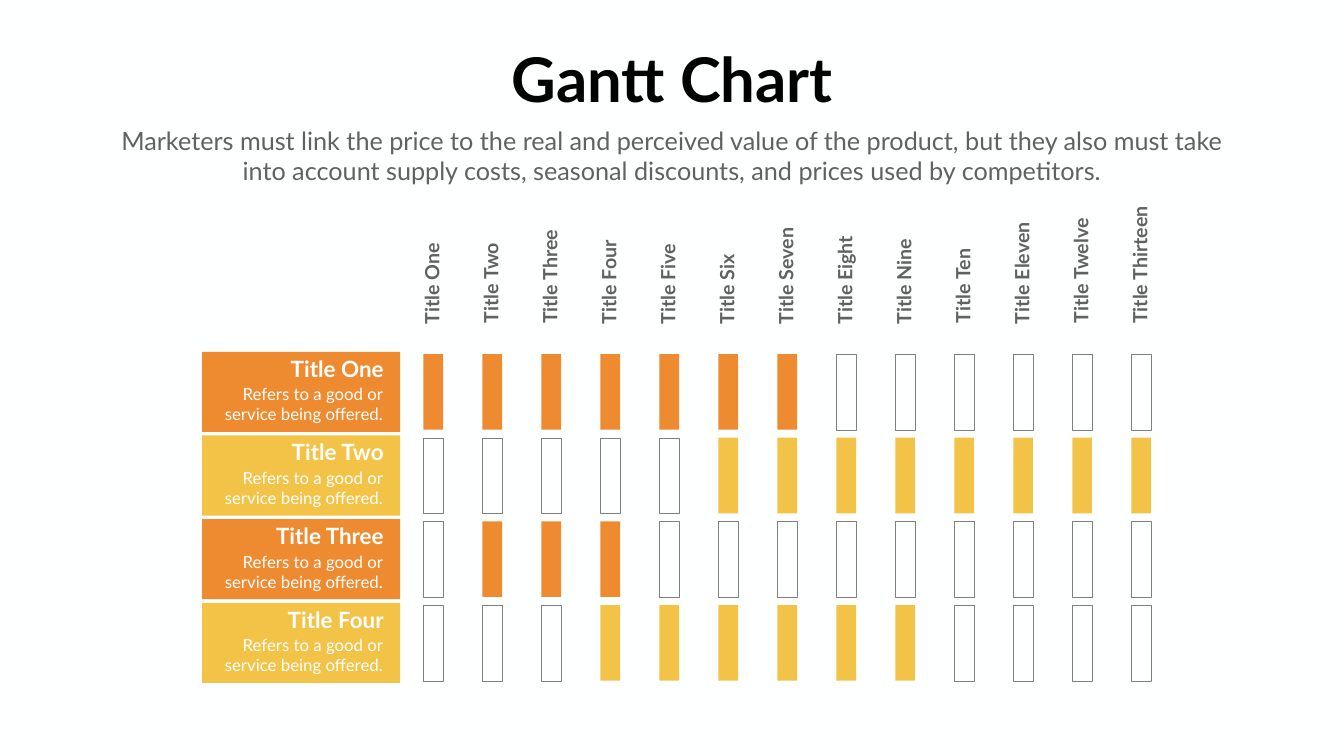
from pptx import Presentation
from pptx.dml.color import RGBColor
from pptx.enum import shapes, text
from pptx.util import Inches, Pt

BACKGROUND = RGBColor(0xFE, 0xFF, 0xFF)
ORANGE = RGBColor(0xEE, 0x8B, 0x31)
YELLOW = RGBColor(0xF2, 0xC3, 0x47)
GREY = RGBColor(0x61, 0x61, 0x61)
OUTLINE = RGBColor(0x80, 0x80, 0x80)
BLACK = RGBColor(0, 0, 0)
WHITE = RGBColor(0xFF, 0xFF, 0xFF)
FONT = "Lato"

TITLE = "Gantt Chart"
SUBTITLE = (
    "Marketers must link the price to the real and perceived value of the product, "
    "but they also must take into account supply costs, seasonal discounts, "
    "and prices used by competitors."
)
DESCRIPTION = "Refers to a good or service being offered."

# name, heading width, colour, first period, last period
TASKS = [
    ("Title One", 2.07, ORANGE, 1, 7),
    ("Title Two", 2.1, YELLOW, 6, 13),
    ("Title Three", 2.38, ORANGE, 2, 4),
    ("Title Four", 2.14, YELLOW, 4, 9),
]
PERIODS = [
    ("Title One", 1.83), ("Title Two", 1.86), ("Title Three", 2.11),
    ("Title Four", 1.9), ("Title Five", 1.83), ("Title Six", 1.61),
    ("Title Seven", 2.15), ("Title Eight", 1.98), ("Title Nine", 1.92),
    ("Title Ten", 1.75), ("Title Eleven", 2.26), ("Title Twelve", 2.36),
    ("Title Thirteen", 2.58),
]

TASK_LEFT, TASK_TOP, TASK_W, TASK_H = 4.01, 6.98, 3.93, 1.59
ROW_GAP = 0.07
HEADING_RIGHT = 7.71
CELL_LEFT, CELL_W, CELL_H, CELL_PITCH = 8.4, 0.39, 1.5, 1.17
LABEL_BOTTOM, LABEL_H = 6.55, 0.57


def place(sp, left, top, width, height):
    sp.left, sp.top = Inches(left), Inches(top)
    sp.width, sp.height = Inches(width), Inches(height)


def write(sp, words, size, color, align, bold=False, wrap=True):
    tf = sp.text_frame
    tf.word_wrap = wrap
    tf.auto_size = text.MSO_AUTO_SIZE.SHAPE_TO_FIT_TEXT
    tf.vertical_anchor = text.MSO_ANCHOR.TOP
    p = tf.paragraphs[0]
    p.alignment = align
    p.space_before = Pt(0)
    r = p.add_run()
    r.text = words
    r.font.name = FONT
    r.font.size = Pt(size)
    r.font.bold = bold
    r.font.color.rgb = color


def add_text(s, box, *args, **kwargs):
    sp = s.shapes.add_textbox(*map(Inches, box))
    write(sp, *args, **kwargs)
    return sp


def add_bar(s, box, color=None):
    sp = s.shapes.add_shape(shapes.MSO_SHAPE.RECTANGLE, *map(Inches, box))
    sp.shadow.inherit = False
    if color is None:
        sp.fill.background()
        sp.line.color.rgb = OUTLINE
        sp.line.width = Pt(0.28)
    else:
        sp.fill.solid()
        sp.fill.fore_color.rgb = color
        sp.line.fill.background()


def main():
    center, right = text.PP_ALIGN.CENTER, text.PP_ALIGN.RIGHT
    prs = Presentation()
    prs.slide_width, prs.slide_height = Inches(26.66), Inches(15)
    s = prs.slides.add_slide(prs.slide_layouts[0])
    s.background.fill.solid()
    s.background.fill.fore_color.rgb = BACKGROUND

    title, subtitle = s.placeholders
    place(title, 9.97, 0.76, 6.73, 1.58)
    write(title, TITLE, 88, BLACK, center, bold=True, wrap=False)
    place(subtitle, 2.22, 2.43, 22.21, 1.31)
    write(subtitle, SUBTITLE, 36, GREY, center)

    for row, (name, width, color, first, last) in enumerate(TASKS):
        top = TASK_TOP + row * (TASK_H + ROW_GAP)
        add_bar(s, (TASK_LEFT, top, TASK_W, TASK_H), color)
        for col in range(len(PERIODS)):
            left = CELL_LEFT + col * CELL_PITCH
            cell = (left, top + (TASK_H - CELL_H) / 2, CELL_W, CELL_H)
            add_bar(s, cell, color if first <= col + 1 <= last else None)
        add_text(s, (4.29, top + 0.59, 3.4, 0.91), DESCRIPTION, 24, WHITE, right)
        add_text(s, (HEADING_RIGHT - width, top + 0.01, width, 0.64),
                 name, 32, WHITE, right, bold=True, wrap=False)

    for col, (name, width) in enumerate(PERIODS):
        mid_x = CELL_LEFT + CELL_W / 2 + col * CELL_PITCH - 0.03
        mid_y = LABEL_BOTTOM - width / 2
        sp = add_text(s, (mid_x - width / 2, mid_y - LABEL_H / 2, width, LABEL_H),
                      name, 28, GREY, center, bold=True, wrap=False)
        sp.rotation = 270

    prs.save("out.pptx")


if __name__ == "__main__":
    main()
